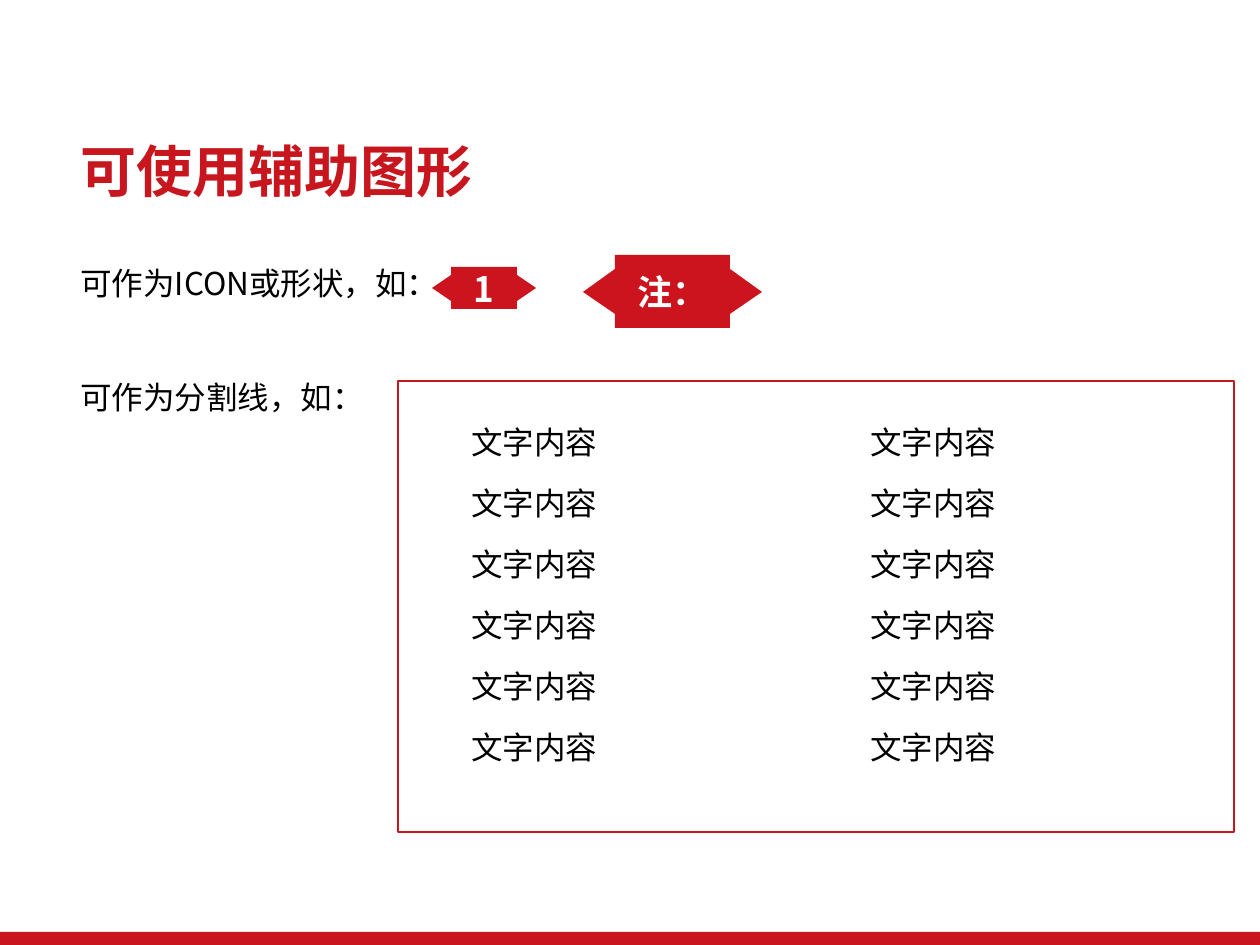
from pptx import Presentation
from pptx import util as u
from pptx.dml.color import RGBColor
from pptx.enum import shapes, text
from pptx.oxml.ns import qn

PX = 914400 / 126
COLORS = {"bar": "C9151E", "accent": "C8161E", "badge": "CC141E",
          "white": "FFFFFF", "black": "000000"}
FONT = "Noto Sans CJK SC"


def px(value):
    return u.Emu(round(value * PX))


class SlideBuilder:
    """Holds the text styles and the current slide."""

    styles = {
        "title": {"size": u.Pt(32), "bold": True, "color": "accent"},
        "badge": {"size": u.Pt(20), "bold": True, "color": "white"},
        "body": {"size": u.Pt(18), "bold": False, "color": "black"},
    }

    def __init__(self, slide):
        self.slide = slide

    def set_words(self, frame, words, style, align=text.PP_ALIGN.LEFT):
        paragraph = frame.paragraphs[0]
        paragraph.alignment = align
        run = paragraph.add_run()
        run.text = words
        run.font.name = FONT
        for key, value in self.styles[style].items():
            if key == "color":
                run.font.color.rgb = RGBColor.from_string(COLORS[value])
            else:
                setattr(run.font, key, value)
        # East Asian glyphs take their font from a separate element
        latin = run.font._element.find(qn("a:latin"))
        east_asian = latin.makeelement(qn("a:ea"), {"typeface": FONT})
        latin.addnext(east_asian)
        return paragraph

    def paint(self, shape, fill, line=None):
        shape.shadow.inherit = False
        shape.fill.solid()
        shape.fill.fore_color.rgb = RGBColor.from_string(COLORS[fill])
        if line:
            shape.line.color.rgb = RGBColor.from_string(COLORS[line])
            shape.line.width = u.Pt(1)
        else:
            shape.line.fill.background()

    def title(self, words, left, top, width, height):
        heading = self.slide.shapes.title
        box = {"left": left, "top": top, "width": width, "height": height}
        for key, value in box.items():
            setattr(heading, key, px(value))
        heading.text_frame.vertical_anchor = text.MSO_ANCHOR.MIDDLE
        self.set_words(heading.text_frame, words, "title").line_spacing = 0.9

    def rectangle(self, left, top, width, height, fill, line=None):
        shape = self.slide.shapes.add_shape(
            shapes.MSO_SHAPE.RECTANGLE, px(left), px(top), px(width), px(height))
        self.paint(shape, fill, line)

    def label(self, words, left, top, width, wrap=True):
        box = self.slide.shapes.add_textbox(px(left), px(top), px(width), px(51))
        box.text_frame.word_wrap = wrap
        box.text_frame.auto_size = text.MSO_AUTO_SIZE.SHAPE_TO_FIT_TEXT
        self.set_words(box.text_frame, words, "body")

    def badge(self, words, left, top, width, height, tip, notch):
        right, bottom, middle = left + width, top + height, top + height / 2
        inner_left, inner_right = left + tip, right - tip
        outline = [
            (inner_left, top), (inner_left, top + notch), (left, middle),
            (inner_left, bottom - notch), (inner_left, bottom),
            (inner_right, bottom), (inner_right, bottom - notch),
            (right, middle), (inner_right, top + notch),
        ]
        builder = self.slide.shapes.build_freeform(inner_right, top, scale=PX)
        builder.add_line_segments(outline, close=True)
        shape = builder.convert_to_shape()
        self.paint(shape, "badge")
        shape.text_frame.vertical_anchor = text.MSO_ANCHOR.MIDDLE
        self.set_words(shape.text_frame, words, "badge", text.PP_ALIGN.CENTER)


def main():
    deck = Presentation()
    deck.slide_width, deck.slide_height = px(1260), px(945)
    page = SlideBuilder(deck.slides.add_slide(deck.slide_layouts[5]))

    # Footer bar and content frame
    page.rectangle(0, 932, 1260, 13, "bar")
    page.rectangle(398, 381, 836, 451, "white", "accent")

    # Heading and the two usage notes
    page.title("可使用辅助图形", 68, 135, 1154, 79)
    page.badge("1", 432, 267, 104, 42, tip=19, notch=8)
    page.label("可作为ICON或形状，如：", 68, 258, 375, wrap=False)
    page.label("可作为分割线，如：", 68, 372, 309, wrap=False)

    # Two columns of sample text
    first_row, row_pitch = 417, 61
    for row in range(6):
        for left, width in ((459, 165), (858, 190)):
            page.label("文字内容", left, first_row + row * row_pitch, width)

    page.badge("注：", 583, 255, 179, 73, tip=32, notch=14)

    deck.save("out.pptx")


if __name__ == "__main__":
    main()
